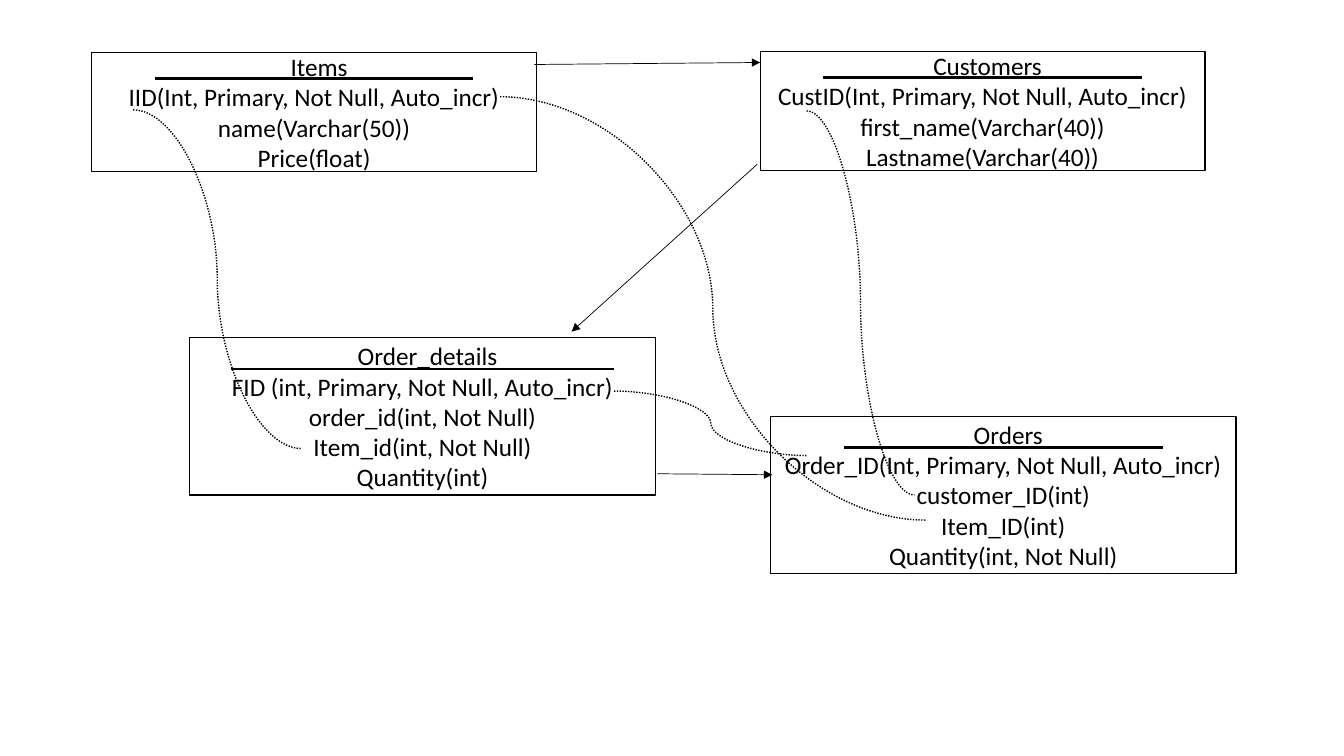
import dataclasses

import pptx
import pptx.dml.color
import pptx.enum.dml
import pptx.enum.shapes
import pptx.enum.text
import pptx.oxml.ns
import pptx.util
from lxml import etree

Inches, Pt = pptx.util.Inches, pptx.util.Pt
CONNECTOR = pptx.enum.shapes.MSO_CONNECTOR


@dataclasses.dataclass(frozen=True)
class Theme:
    """Colours, font and sizes used on the slide."""
    ink: pptx.dml.color.RGBColor = pptx.dml.color.RGBColor(0, 0, 0)
    font: str = "Calibri"
    text_pt: float = 18
    line_pt: float = 1
    arrow_pt: float = 0.5
    rule_pt: float = 1.75
    heading_indent: float = 0.1


class Diagram:
    """Draws schema tables and their relations on one slide."""

    def __init__(self, slide, theme):
        """Keep the slide and its style."""
        self.shapes = slide.shapes
        self.theme = theme

    def connector(self, kind, start, end, width):
        """Draw a connector without shadow and return it."""
        line = self.shapes.add_connector(kind, *map(Inches, start + end))
        line.line.color.rgb = self.theme.ink
        line.line.width = Pt(width)
        etree.SubElement(line._element.spPr, pptx.oxml.ns.qn("a:effectLst"))
        return line

    def arrow(self, start, end):
        """Draw a straight arrow between two tables."""
        line = self.connector(CONNECTOR.STRAIGHT, start, end, self.theme.arrow_pt)
        tail = etree.SubElement(line.line._get_or_add_ln(), pptx.oxml.ns.qn("a:tailEnd"))
        tail.set("type", "triangle")

    def key_link(self, start, end):
        """Draw a dotted curve from a key to the column that uses it."""
        line = self.connector(CONNECTOR.CURVE, start, end, self.theme.line_pt)
        line.line.dash_style = pptx.enum.dml.MSO_LINE.ROUND_DOT

    def table_box(self, left, top, width, height, rule_width, rule_drop, rows):
        """Draw a box with a ruled heading and its column definitions."""
        sp = self.shapes.add_shape(
            pptx.enum.shapes.MSO_SHAPE.RECTANGLE,
            *map(Inches, (left, top, width, height)))
        sp.shadow.inherit = False
        sp.fill.background()
        sp.line.color.rgb = self.theme.ink
        sp.line.width = Pt(self.theme.line_pt)
        tf = sp.text_frame
        tf.word_wrap = True
        tf.vertical_anchor = pptx.enum.text.MSO_ANCHOR.MIDDLE
        for i, text in enumerate(rows):
            p = tf.add_paragraph() if i else tf.paragraphs[0]
            p.alignment = pptx.enum.text.PP_ALIGN.CENTER
            r = p.add_run()
            r.text = text
            r.font.name = self.theme.font
            r.font.size = Pt(self.theme.text_pt)
            r.font.color.rgb = self.theme.ink
        heading = tf.paragraphs[0]._p.get_or_add_pPr()
        heading.set("marL", str(Inches(self.theme.heading_indent)))
        x = left + (width - rule_width) / 2
        y = top + rule_drop
        self.connector(CONNECTOR.STRAIGHT, (x, y), (x + rule_width, y),
                       self.theme.rule_pt)


SMALL, LARGE = (4.41, 1.18), (4.62, 1.56)
TABLES = [
    (7.54, 0.51, *SMALL, 3.16, 0.26, [
        "Customers", "CustID(Int, Primary, Not Null, Auto_incr)",
        "first_name(Varchar(40))", "Lastname(Varchar(40))"]),
    (0.91, 0.52, *SMALL, 3.16, 0.26, [
        "Items", "IID(Int, Primary, Not Null, Auto_incr)",
        "name(Varchar(50))", "Price(float)"]),
    (7.64, 4.13, *LARGE, 3.16, 0.31, [
        "Orders", "Order_ID(Int, Primary, Not Null, Auto_incr)",
        "customer_ID(int)", "Item_ID(int)", "Quantity(int, Not Null)"]),
    (1.88, 3.35, *LARGE, 3.8, 0.31, [
        "Order_details", "FID (int, Primary, Not Null, Auto_incr)",
        "order_id(int, Not Null)", "Item_id(int, Not Null)", "Quantity(int)"]),
]
ARROWS = [
    ((5.3, 0.64), (7.54, 0.62)),
    ((7.51, 1.63), (5.67, 3.29)),
    ((6.52, 4.7), (7.66, 4.71)),
]
KEY_LINKS = [
    ((4.96, 0.96), (9.18, 5.16)),
    ((1.32, 1.09), (2.99, 4.45)),
    ((8, 1.1), (9.07, 4.91)),
    ((6.09, 3.88), (8.01, 4.52)),
]

prs = pptx.Presentation()
prs.slide_width, prs.slide_height = Inches(13.33), Inches(7.5)
diagram = Diagram(prs.slides.add_slide(prs.slide_layouts[6]), Theme())
for table in TABLES:
    diagram.table_box(*table)
for ends in ARROWS:
    diagram.arrow(*ends)
for ends in KEY_LINKS:
    diagram.key_link(*ends)
prs.save("out.pptx")
